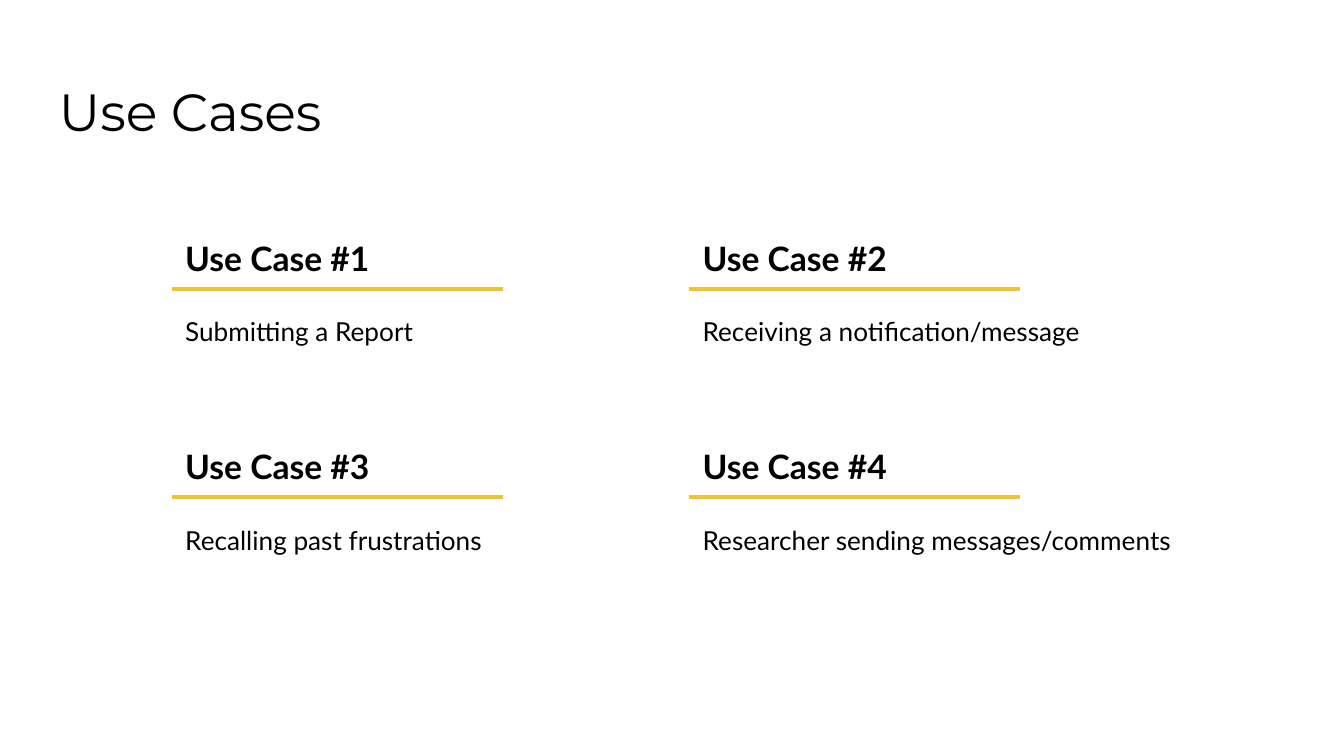
from lxml.etree import SubElement
from pptx import Presentation
from pptx.dml.color import RGBColor
from pptx.enum.shapes import MSO_CONNECTOR as Connector
from pptx.enum.text import MSO_ANCHOR as Anchor
from pptx.oxml.ns import qn
from pptx.util import Inches, Pt

SLIDE_WIDTH = 10
SLIDE_HEIGHT = SLIDE_WIDTH * 9 / 16
GRID_LEFT, GRID_TOP = 1.28, 1.67
COLUMN_STEP, ROW_STEP = 3.85, 1.55
COLUMNS = 2
HEADING_WIDTH, HEADING_HEIGHT = 1.89, 0.48
RULE_WIDTH, RULE_OFFSET = 2.46, 0.48
DETAIL_OFFSET = 0.58
BLACK, GOLD = "000000", "F1C232"

USE_CASES = [
    ("Submitting a Report", 2.84, 0.48),
    ("Receiving a notification/message", 3.26, 0.65),
    ("Recalling past frustrations", 3.26, 0.65),
    ("Researcher sending messages/comments", 3.98, 0.65),
]


def color(value):
    return RGBColor.from_string(value)


def add_text(slide, box, text, size, font_name="Lato", bold=False):
    shape = slide.shapes.add_textbox(*map(Inches, box))
    frame = shape.text_frame
    frame.word_wrap = True
    frame.vertical_anchor = Anchor.TOP
    frame.margin_left = frame.margin_right = Inches(0.1)
    frame.margin_top = frame.margin_bottom = Inches(0.1)
    run = frame.paragraphs[0].add_run()
    run.text = text
    run.font.name = font_name
    run.font.size = Pt(size)
    run.font.bold = bold
    run.font.color.rgb = color(BLACK)


def add_rule(slide, left, top, width):
    ends = map(Inches, (left, top, left + width, top))
    rule = slide.shapes.add_connector(Connector.STRAIGHT, *ends)
    rule.line.color.rgb = color(GOLD)
    rule.line.width = Pt(2.25)
    SubElement(rule._element.spPr, qn("a:effectLst"))


def add_use_case(slide, box, number, detail):
    left, top, width, detail_height = box
    heading_box = (left, top, HEADING_WIDTH, HEADING_HEIGHT)
    detail_box = (left, top + DETAIL_OFFSET, width, detail_height)
    add_rule(slide, left, top + RULE_OFFSET, RULE_WIDTH)
    add_text(slide, heading_box, f"Use Case #{number}", 18, bold=True)
    add_text(slide, detail_box, detail, 14)


def add_use_case_grid(slide, left, top):
    for index, (detail, width, height) in enumerate(USE_CASES):
        row, column = divmod(index, COLUMNS)
        box = (left + column * COLUMN_STEP, top + row * ROW_STEP, width, height)
        add_use_case(slide, box, index + 1, detail)


def main():
    presentation = Presentation()
    presentation.slide_width = Inches(SLIDE_WIDTH)
    presentation.slide_height = Inches(SLIDE_HEIGHT)
    slide = presentation.slides.add_slide(presentation.slide_layouts[6])
    add_text(slide, (0.34, 0.49, 9.32, 0.63), "Use Cases", 28, "Montserrat")
    add_use_case_grid(slide, GRID_LEFT, GRID_TOP)
    presentation.save("out.pptx")


if __name__ == "__main__":
    main()
